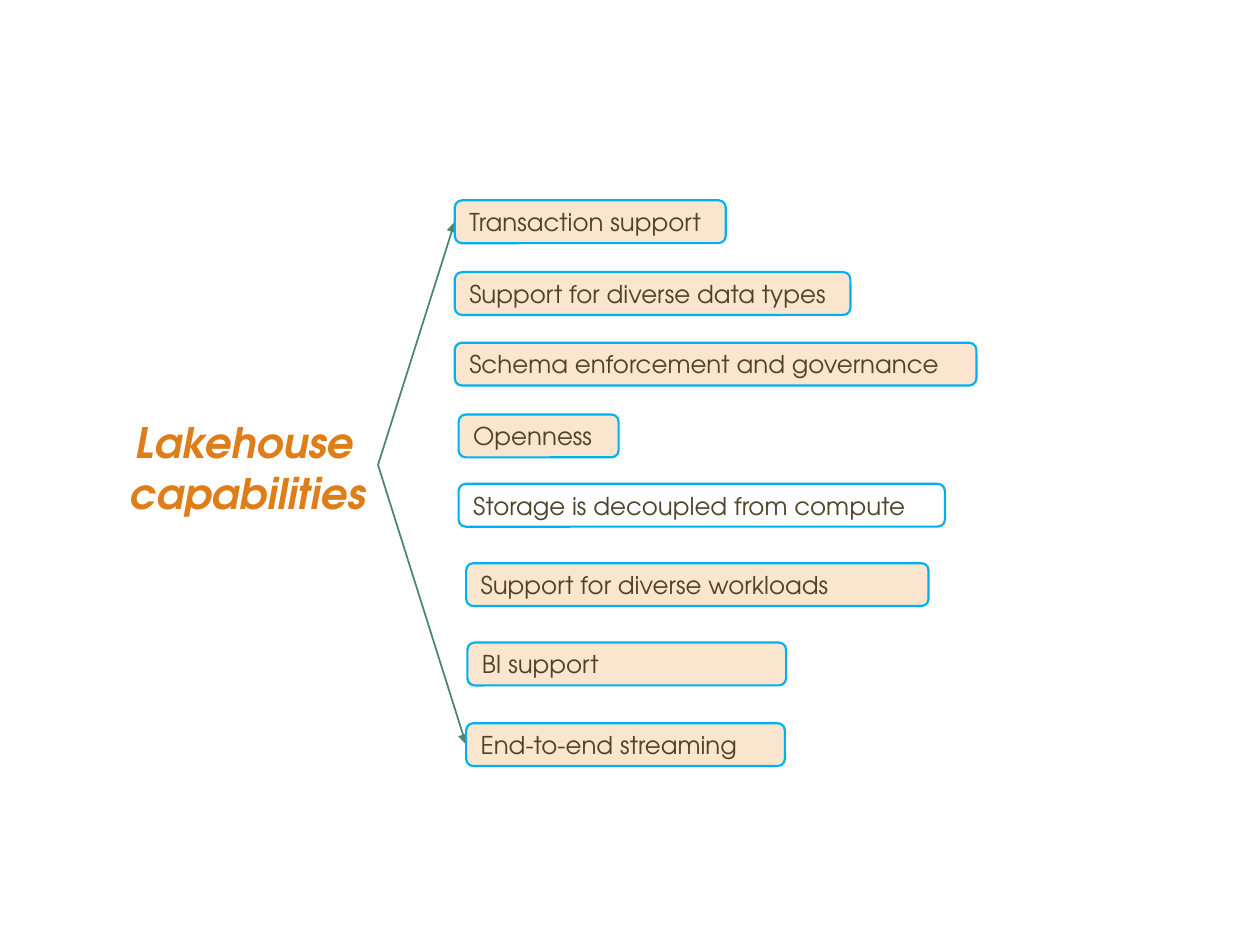
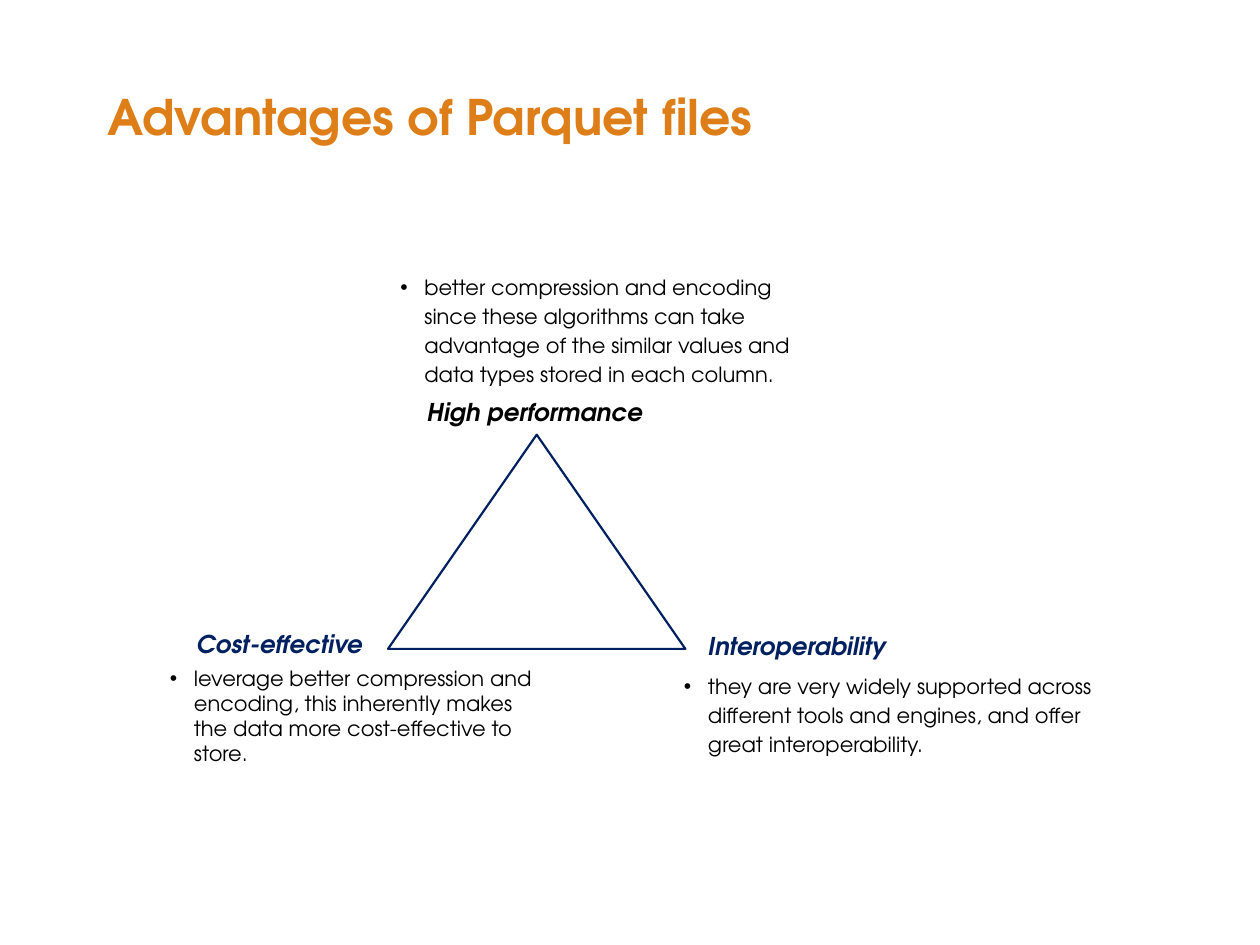
from dataclasses import dataclass

from lxml import etree
from pptx import Presentation
from pptx import util as u
from pptx.dml.color import RGBColor
from pptx.enum import shapes, text
from pptx.oxml.ns import qn


@dataclass(frozen=True)
class Theme:
    font: str = "TeX Gyre Adventor"
    orange: str = "DE7E18"
    brown: str = "504228"
    peach: str = "FAE5CF"
    sky: str = "00B0F0"
    green: str = "4B866E"
    navy: str = "002060"
    black: str = "000000"
    white: str = "FFFFFF"
    title_size: int = 28
    heading_size: int = 24
    label_size: int = 14
    body_size: int = 12
    outline: float = 1.25
    arrow: float = 1


TITLE_ONLY, BLANK = 5, 6


class SlideBuilder:
    def __init__(self, deck, theme):
        self.deck = deck
        self.theme = theme
        self.page = None

    def new_page(self, layout):
        self.page = self.deck.slides.add_slide(self.deck.slide_layouts[layout])

    def set_text(self, box, words, size, color, bold=False, italic=False,
                 align=text.PP_ALIGN.LEFT, anchor=text.MSO_ANCHOR.TOP):
        """Put words in a box, one paragraph per line, and style them."""
        frame = box.text_frame
        frame.word_wrap = True
        frame.auto_size = text.MSO_AUTO_SIZE.NONE
        frame.vertical_anchor = anchor
        frame.text = words
        for para in frame.paragraphs:
            para.alignment = align
            for span in para.runs:
                span.font.name = self.theme.font
                span.font.size = u.Pt(size)
                span.font.bold = bold
                span.font.italic = italic
                span.font.color.rgb = RGBColor.from_string(color)

    def space_out(self, box):
        for para in box.text_frame.paragraphs:
            para.line_spacing = 1.15
            para.space_after = u.Pt(8)

    def text_box(self, left, top, width, height):
        return self.page.shapes.add_textbox(*map(u.Inches, (left, top, width, height)))

    def title(self, words, left, top, width, height):
        box = self.page.shapes.title
        box.left, box.top, box.width, box.height = map(
            u.Inches, (left, top, width, height))
        self.set_text(box, words, self.theme.title_size, self.theme.orange, bold=True)

    def side_heading(self, words, left, top, width, height):
        box = self.text_box(left, top, width, height)
        self.set_text(box, words, self.theme.heading_size, self.theme.orange,
                      bold=True, italic=True, align=text.PP_ALIGN.RIGHT)

    def shape(self, kind, left, top, width, height, fill, line=None):
        box = self.page.shapes.add_shape(
            kind, *map(u.Inches, (left, top, width, height)))
        box.shadow.inherit = False
        box.fill.solid()
        box.fill.fore_color.rgb = RGBColor.from_string(fill)
        if line:
            box.line.color.rgb = RGBColor.from_string(line)
            box.line.width = u.Pt(self.theme.outline)
        else:
            box.line.fill.background()
        return box

    def pill(self, words, left, top, width, height, fill):
        box = self.shape(shapes.MSO_SHAPE.ROUNDED_RECTANGLE, left, top, width,
                         height, fill, self.theme.sky)
        self.set_text(box, words, self.theme.label_size, self.theme.brown,
                      anchor=text.MSO_ANCHOR.MIDDLE)

    def corner_label(self, words, left, top, width, color):
        box = self.shape(shapes.MSO_SHAPE.RECTANGLE, left, top, width, 0.35,
                         self.theme.white)
        self.set_text(box, words, self.theme.label_size, color, bold=True, italic=True)
        self.space_out(box)

    def bullet_note(self, words, left, top, width, height, spaced=True):
        box = self.text_box(left, top, width, height)
        self.set_text(box, words, self.theme.body_size, self.theme.black)
        indent = u.Inches(0.19)
        for para in box.text_frame.paragraphs:
            props = para._p.get_or_add_pPr()
            props.set("marL", str(indent))
            props.set("indent", str(-indent))
            etree.SubElement(props, qn("a:buFont"), typeface="Arial")
            etree.SubElement(props, qn("a:buChar"), char="•")
        if spaced:
            self.space_out(box)

    def arrow(self, start, end):
        line = self.page.shapes.add_connector(
            shapes.MSO_CONNECTOR.STRAIGHT, *map(u.Inches, (*start, *end)))
        line.line.color.rgb = RGBColor.from_string(self.theme.green)
        line.line.width = u.Pt(self.theme.arrow)
        props = line._element.spPr
        etree.SubElement(props.find(qn("a:ln")), qn("a:tailEnd"), type="triangle")
        etree.SubElement(props, qn("a:effectLst"))


def lakehouse_page(builder):
    theme = builder.theme
    pill_height = 0.34
    capabilities = [
        ("Transaction support", 3.61, 1.59, 2.15, theme.peach),
        ("Support for diverse data types", 3.61, 2.16, 3.14, theme.peach),
        ("Schema enforcement and governance", 3.61, 2.72, 4.14, theme.peach),
        ("Openness", 3.64, 3.29, 1.27, theme.peach),
        ("Storage is decoupled from compute", 3.64, 3.84, 3.86, theme.white),
        ("Support for diverse workloads", 3.7, 4.47, 3.67, theme.peach),
        ("BI support", 3.71, 5.1, 2.53, theme.peach),
        ("End-to-end streaming", 3.7, 5.74, 2.53, theme.peach),
    ]
    builder.new_page(BLANK)
    builder.side_heading("Lakehouse \ncapabilities", 0.58, 3.26, 2.42, 0.85)
    for _, left, top, _, _ in (capabilities[0], capabilities[-1]):
        builder.arrow((3, 3.69), (left, top + pill_height / 2))
    for words, left, top, width, fill in capabilities:
        builder.pill(words, left, top, width, pill_height, fill)


def parquet_page(builder):
    theme = builder.theme
    builder.new_page(TITLE_ONLY)
    builder.title("Advantages of Parquet files", 0.75, 0.64, 5.6, 0.53)
    builder.corner_label("High performance", 3.29, 3.07, 1.94, theme.black)
    builder.corner_label("Cost-effective", 1.46, 4.91, 1.62, theme.navy)
    builder.corner_label("Interoperability", 5.52, 4.92, 1.65, theme.navy)
    builder.bullet_note(
        "better compression and encoding since these algorithms can take "
        "advantage of the similar values and data types stored in each column.",
        3.08, 2.1, 3.33, 1.01)
    builder.bullet_note(
        "leverage better compression and encoding, this inherently makes "
        "the data more cost-effective to store.",
        1.25, 5.23, 3.08, 0.91, spaced=False)
    builder.bullet_note(
        "they are very widely supported across different tools and engines, "
        "and offer great interoperability.",
        5.33, 5.27, 3.52, 0.78)
    builder.shape(shapes.MSO_SHAPE.ISOSCELES_TRIANGLE, 3.08, 3.45, 2.36, 1.7,
                  theme.white, theme.navy)


def main():
    deck = Presentation()
    deck.slide_width, deck.slide_height = u.Inches(10), u.Inches(7.5)
    builder = SlideBuilder(deck, Theme())
    lakehouse_page(builder)
    parquet_page(builder)
    deck.save("out.pptx")


if __name__ == "__main__":
    main()
